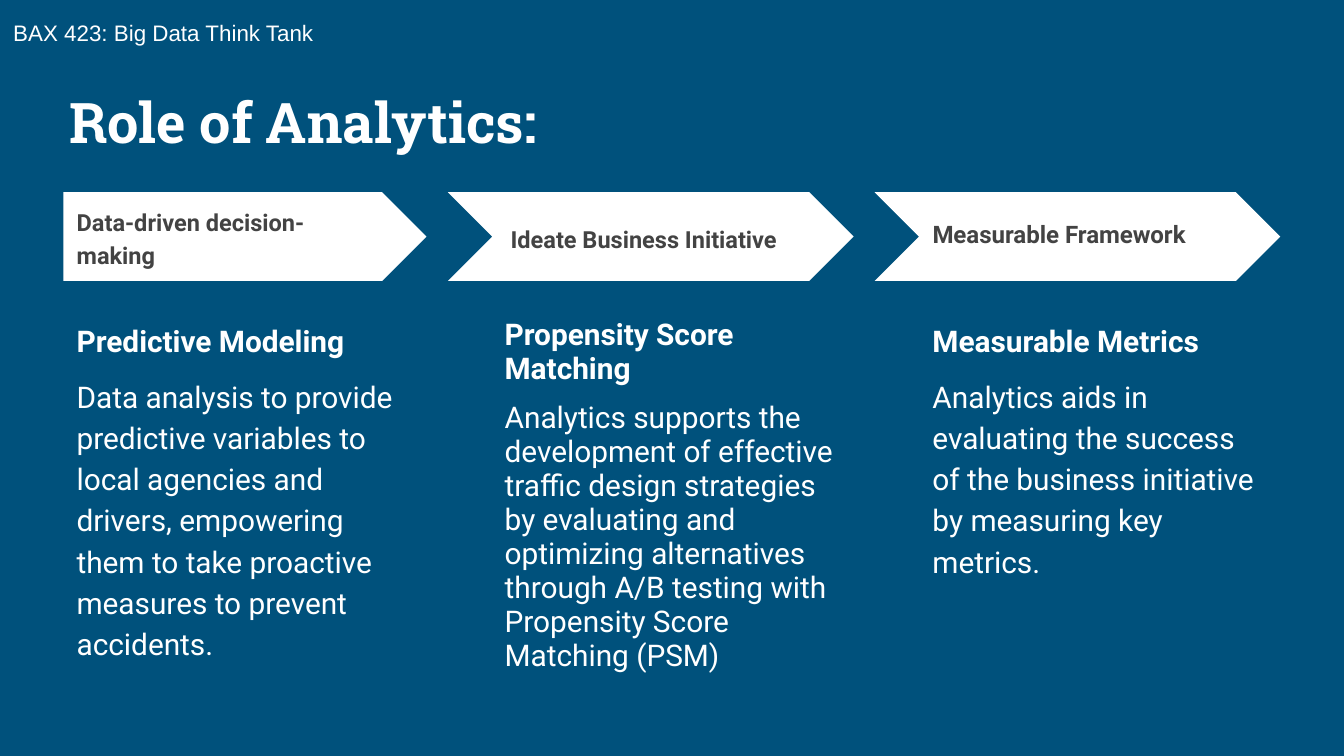
from dataclasses import dataclass

from pptx import Presentation
from pptx.dml.color import RGBColor
from pptx.enum.shapes import MSO_SHAPE as Preset
from pptx.enum.text import MSO_ANCHOR as Anchor, MSO_AUTO_SIZE as AutoSize
from pptx.slide import Slide
from pptx.util import Pt

COLORS = {"navy": "00517C", "white": "FFFFFF", "charcoal": "434343"}
INSET = 7.2
STEP_TOP, STEP_HEIGHT = 103, 47.5
LABEL_TOP, LABEL_WIDTH, LABEL_HEIGHT = 114.5, 178, 24.5
DETAIL_WIDTH, DETAIL_HEIGHT = 194.5, 209


@dataclass(frozen=True)
class Line:
    text: str
    size: float
    color: str = "white"
    font: str = "Roboto"
    bold: bool = False
    spacing: float = 1.0
    before: float = 0
    after: float = 0


@dataclass(frozen=True)
class Stage:
    outline: Preset
    step_left: float
    step_width: float
    text_left: float
    label: Line
    heading: str
    body: str
    detail_top: float = 162.7
    detail_spacing: float = 1.15


def rgb(name: str) -> RGBColor:
    return RGBColor.from_string(COLORS[name])


def add_text(slide: Slide, left: float, top: float, width: float, height: float,
             lines: list[Line], anchor: Anchor = Anchor.TOP,
             auto_size: AutoSize = AutoSize.NONE) -> None:
    box = slide.shapes.add_textbox(Pt(left), Pt(top), Pt(width), Pt(height))
    frame = box.text_frame
    frame.word_wrap = True
    frame.auto_size = auto_size
    frame.vertical_anchor = anchor
    frame.margin_left = frame.margin_right = Pt(INSET)
    frame.margin_top = frame.margin_bottom = Pt(INSET)
    for index, line in enumerate(lines):
        paragraph = frame.add_paragraph() if index else frame.paragraphs[0]
        paragraph.line_spacing = line.spacing
        paragraph.space_before = Pt(line.before)
        paragraph.space_after = Pt(line.after)
        run = paragraph.add_run()
        run.text = line.text
        run.font.name = line.font
        run.font.size = Pt(line.size)
        run.font.bold = line.bold
        run.font.color.rgb = rgb(line.color)


def add_stage(slide: Slide, stage: Stage) -> None:
    step = slide.shapes.add_shape(stage.outline, Pt(stage.step_left), Pt(STEP_TOP),
                                  Pt(stage.step_width), Pt(STEP_HEIGHT))
    step.adjustments[0] = 0.5
    step.shadow.inherit = False
    step.fill.solid()
    step.fill.fore_color.rgb = rgb("white")
    step.line.fill.background()

    add_text(slide, stage.text_left, LABEL_TOP, LABEL_WIDTH, LABEL_HEIGHT,
             [stage.label], Anchor.MIDDLE)
    heading = Line(stage.heading, 16, bold=True, spacing=stage.detail_spacing)
    body = Line(stage.body, 16, spacing=stage.detail_spacing, before=8, after=8)
    add_text(slide, stage.text_left, stage.detail_top, DETAIL_WIDTH, DETAIL_HEIGHT,
             [heading, body])


def step_label(text: str, size: float = 12.6, spacing: float = 1.15,
               after: float = 12) -> Line:
    return Line(text, size, "charcoal", bold=True, spacing=spacing, after=after)


STAGES = [
    Stage(Preset.PENTAGON, 34, 194.5, 34,
          step_label("Data-driven decision-making"),
          "Predictive Modeling",
          "Data analysis to provide predictive variables to local agencies and drivers, "
          "empowering them to take proactive measures to prevent accidents."),
    Stage(Preset.CHEVRON, 240, 217.3, 263.3,
          step_label(" Ideate Business Initiative"),
          "Propensity Score Matching",
          "Analytics supports the development of effective traffic design strategies by "
          "evaluating and optimizing alternatives through A/B testing with Propensity "
          "Score Matching (PSM)",
          detail_top=163.4, detail_spacing=0.95),
    Stage(Preset.CHEVRON, 468.6, 217.3, 492.5,
          step_label("Measurable Framework", 12.9, 0.8, 0),
          "Measurable Metrics",
          "Analytics aids in evaluating the success of the business initiative by "
          "measuring key metrics."),
]


def main() -> None:
    deck = Presentation()
    deck.slide_width, deck.slide_height = Pt(720), Pt(405)
    slide = deck.slides.add_slide(deck.slide_layouts[6])
    slide.background.fill.solid()
    slide.background.fill.fore_color.rgb = rgb("navy")

    title = Line("Role of Analytics:", 30, font="Roboto Slab", bold=True)
    add_text(slide, 30.2, 36, 659, 54, [title], Anchor.BOTTOM)
    for stage in STAGES:
        add_stage(slide, stage)
    course = Line("BAX 423: Big Data Think Tank", 12, font="Arial", spacing=1.2)
    add_text(slide, 0, 0, 178.6, 28.8, [course], auto_size=AutoSize.SHAPE_TO_FIT_TEXT)

    deck.save("out.pptx")


if __name__ == "__main__":
    main()
